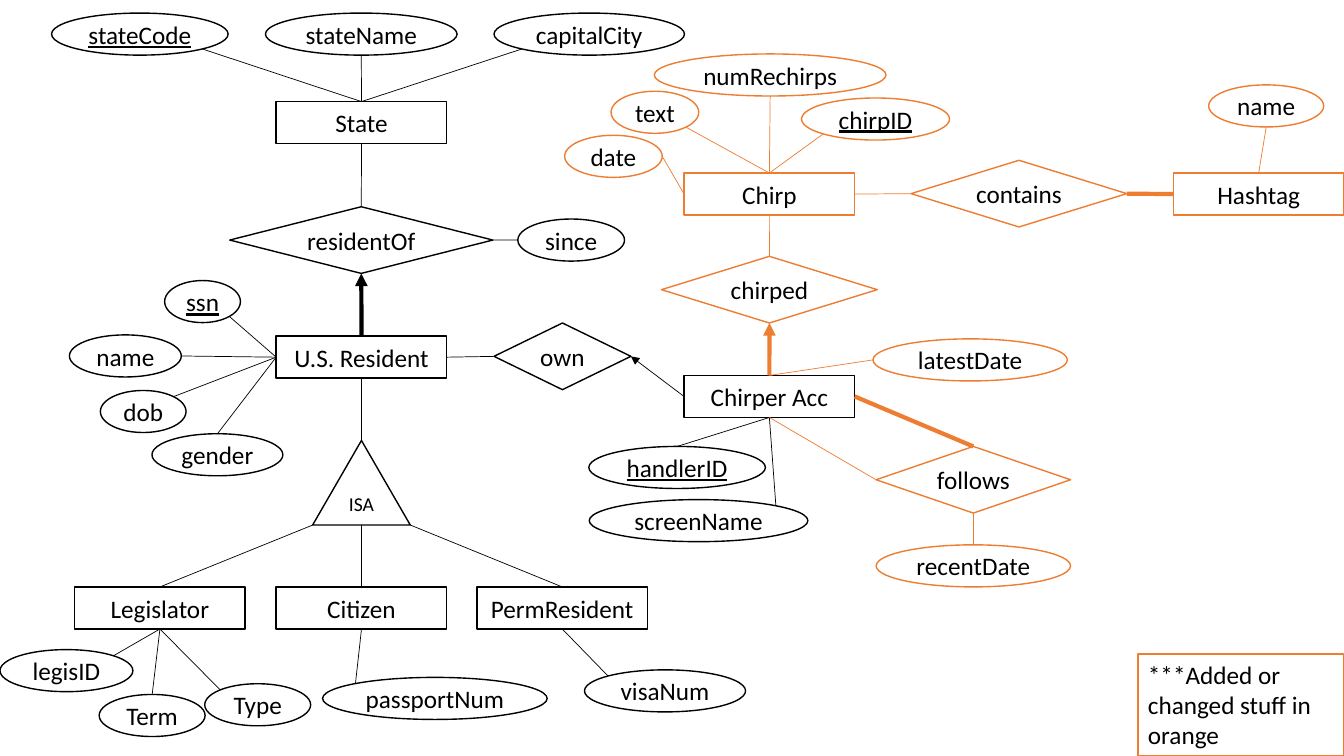
from lxml import etree
from pptx import Presentation
from pptx.dml.color import RGBColor
from pptx.enum.shapes import MSO_CONNECTOR, MSO_SHAPE
from pptx.enum.text import MSO_ANCHOR, PP_ALIGN
from pptx.oxml.ns import qn
from pptx.util import Cm, Pt

RECTANGLE, ELLIPSE = MSO_SHAPE.RECTANGLE, MSO_SHAPE.OVAL
DIAMOND, TRIANGLE = MSO_SHAPE.FLOWCHART_DECISION, MSO_SHAPE.ISOSCELES_TRIANGLE
STRAIGHT = MSO_CONNECTOR.STRAIGHT
TOP, MIDDLE = MSO_ANCHOR.TOP, MSO_ANCHOR.MIDDLE
LEFT, CENTER = PP_ALIGN.LEFT, PP_ALIGN.CENTER

THEME = {
    "font": "Calibri", "size": 18, "small": 14,
    "paper": RGBColor(255, 255, 255),
    "base": RGBColor(0, 0, 0),
    "added": RGBColor(0xED, 0x7D, 0x31),
    "outline": 1, "thin": 0.5, "thick": 3,
}

ENTITY_SIZE = (4.3, 1.06)
DIAMOND_HEIGHT = 1.68
ATTRIBUTE_HEIGHT = 1.06

ENTITIES = [
    ("State", 6.96, 2.56, "base"),
    ("U.S. Resident", 6.96, 8.47, "base"),
    ("Legislator", 1.88, 14.79, "base"),
    ("Citizen", 6.96, 14.79, "base"),
    ("PermResident", 12.02, 14.79, "base"),
    ("Chirper Acc", 17.24, 9.46, "base"),
    ("Chirp", 17.24, 4.36, "added"),
    ("Hashtag", 29.57, 4.36, "added"),
]

RELATIONSHIPS = [
    ("residentOf", 5.79, 5.21, 6.63, "base"),
    ("own", 12.45, 8.14, 3.45, "base"),
    ("chirped", 16.67, 6.46, 5.44, "added"),
    ("contains", 22.96, 4.04, 5.44, "added"),
    ("follows", 22.08, 11.25, 4.9, "added"),
]

HIERARCHY = ("ISA", 7.88, 11.1, 2.46, 2.13)

ATTRIBUTES = [
    ("State", "top", "base", [
        ("stateCode", 1.3, 0.33, 4.45, "bottom right"),
        ("stateName", 6.69, 0.33, 4.83, "bottom"),
        ("capitalCity", 12.45, 0.33, 4.8, "bottom left")]),
    ("residentOf", "right", "base", [
        ("since", 13.05, 5.52, 2.69, "left")]),
    ("U.S. Resident", "left", "base", [
        ("ssn", 4.15, 7.07, 1.91, "bottom right"),
        ("name", 1.75, 8.44, 2.82, "right"),
        ("dob", 2.53, 9.84, 2.16, "top right"),
        ("gender", 3.83, 10.93, 3.3, "top")]),
    ("Legislator", "bottom", "base", [
        ("legisID", 0, 16.37, 3.35, "top right"),
        ("Term", 2.5, 17.5, 2.67, "top"),
        ("Type", 5.16, 17.23, 2.67, "top left")]),
    ("Citizen", "bottom", "base", [
        ("passportNum", 8.13, 17.07, 5.66, "top left")]),
    ("PermResident", "bottom", "base", [
        ("visaNum", 14.73, 16.88, 4.06, "top left")]),
    ("Chirper Acc", "bottom", "base", [
        ("handlerID", 14.84, 11.25, 4.45, "top"),
        ("screenName", 14.85, 12.59, 5.51, "top right")]),
    ("Chirper Acc", "top", "added", [
        ("latestDate", 22, 8.54, 4.9, "left")]),
    ("Chirp", "left", "added", [
        ("date", 14.23, 3.41, 2.46, "right")]),
    ("Chirp", "top", "added", [
        ("text", 15.4, 2.3, 2.21, "bottom right"),
        ("numRechirps", 16.49, 1.36, 5.84, "bottom"),
        ("chirpID", 20.2, 2.47, 3.73, "bottom left")]),
    ("Hashtag", "top", "added", [
        ("name", 30.46, 2.14, 2.9, "bottom")]),
    ("follows", "bottom", "added", [
        ("recentDate", 22.08, 13.73, 4.9, "top")]),
]
KEYS = {"stateCode", "ssn", "handlerID", "chirpID"}

LINKS = [
    ("residentOf", "top", "State", "bottom", "base", "thin", False),
    ("U.S. Resident", "top", "residentOf", "bottom", "base", "thick", True),
    ("U.S. Resident", "right", "own", "left", "base", "thin", False),
    ("Chirper Acc", "left", "own", "right", "base", "thin", True),
    ("ISA", "top", "U.S. Resident", "bottom", "base", "thin", False),
    ("ISA", "bottom left", "Legislator", "top", "base", "thin", False),
    ("ISA", "bottom", "Citizen", "top", "base", "thin", False),
    ("ISA", "bottom right", "PermResident", "top", "base", "thin", False),
    ("Chirp", "bottom", "chirped", "top", "added", "thin", False),
    ("Chirper Acc", "top", "chirped", "bottom", "added", "thick", True),
    ("Chirp", "right", "contains", "left", "added", "thin", False),
    ("contains", "right", "Hashtag", "left", "added", "thick", False),
    ("Chirper Acc", "right", "follows", "top", "added", "thick", False),
    ("Chirper Acc", "bottom", "follows", "left", "added", "thin", False),
]

NOTE = ("***Added or changed stuff in orange", 28.68, 16.48, 5.18, 2.57)

deck = Presentation()
deck.slide_width, deck.slide_height = Cm(33.87), Cm(19.05)
page = deck.slides.add_slide(deck.slide_layouts[6])


def write(box, text, size="size", align=CENTER, anchor=MIDDLE, underline=None, wrap=False):
    frame = box.text_frame
    frame.word_wrap = wrap
    frame.vertical_anchor = anchor
    para = frame.paragraphs[0]
    para.alignment = align
    span = para.add_run()
    span.text = text
    span.font.name = THEME["font"]
    span.font.size = Pt(THEME[size])
    span.font.color.rgb = THEME["base"]
    span.font.underline = underline


def add_box(kind, text, left, top, width, height, colour, **text_format):
    box = page.shapes.add_shape(kind, Cm(left), Cm(top), Cm(width), Cm(height))
    box.shadow.inherit = False
    box.fill.solid()
    box.fill.fore_color.rgb = THEME["paper"]
    box.line.color.rgb = THEME[colour]
    box.line.width = Pt(THEME["outline"])
    write(box, text, **text_format)
    return box


def anchor_point(box, side):
    across = ("right" in side) - ("left" in side)
    down = ("bottom" in side) - ("top" in side)
    if across and down and box.auto_shape_type == ELLIPSE:
        across, down = across * 0.5 ** 0.5, down * 0.5 ** 0.5
    return (int(box.left + box.width * (1 + across) / 2),
            int(box.top + box.height * (1 + down) / 2))


def link(start, start_side, end, end_side, colour, weight="thin", arrow=False):
    line = page.shapes.add_connector(
        STRAIGHT, *anchor_point(start, start_side), *anchor_point(end, end_side))
    line.line.color.rgb = THEME[colour]
    line.line.width = Pt(THEME[weight])
    properties = line._element.spPr
    if arrow:
        etree.SubElement(properties.find(qn("a:ln")), qn("a:tailEnd"), type="triangle")
    etree.SubElement(properties, qn("a:effectLst"))


nodes = {}
for text, left, top, colour in ENTITIES:
    nodes[text] = add_box(RECTANGLE, text, left, top, *ENTITY_SIZE, colour)
for text, left, top, width, colour in RELATIONSHIPS:
    nodes[text] = add_box(DIAMOND, text, left, top, width, DIAMOND_HEIGHT, colour)
nodes["ISA"] = add_box(TRIANGLE, *HIERARCHY, "base", size="small")

for owner, owner_side, colour, attributes in ATTRIBUTES:
    for text, left, top, width, side in attributes:
        attribute = add_box(ELLIPSE, text, left, top, width, ATTRIBUTE_HEIGHT, colour,
                            underline=text in KEYS)
        link(nodes[owner], owner_side, attribute, side, colour)

for start, start_side, end, end_side, colour, weight, arrow in LINKS:
    link(nodes[start], start_side, nodes[end], end_side, colour, weight, arrow)

add_box(RECTANGLE, *NOTE, "added", align=LEFT, anchor=TOP, wrap=True)

deck.save("out.pptx")
